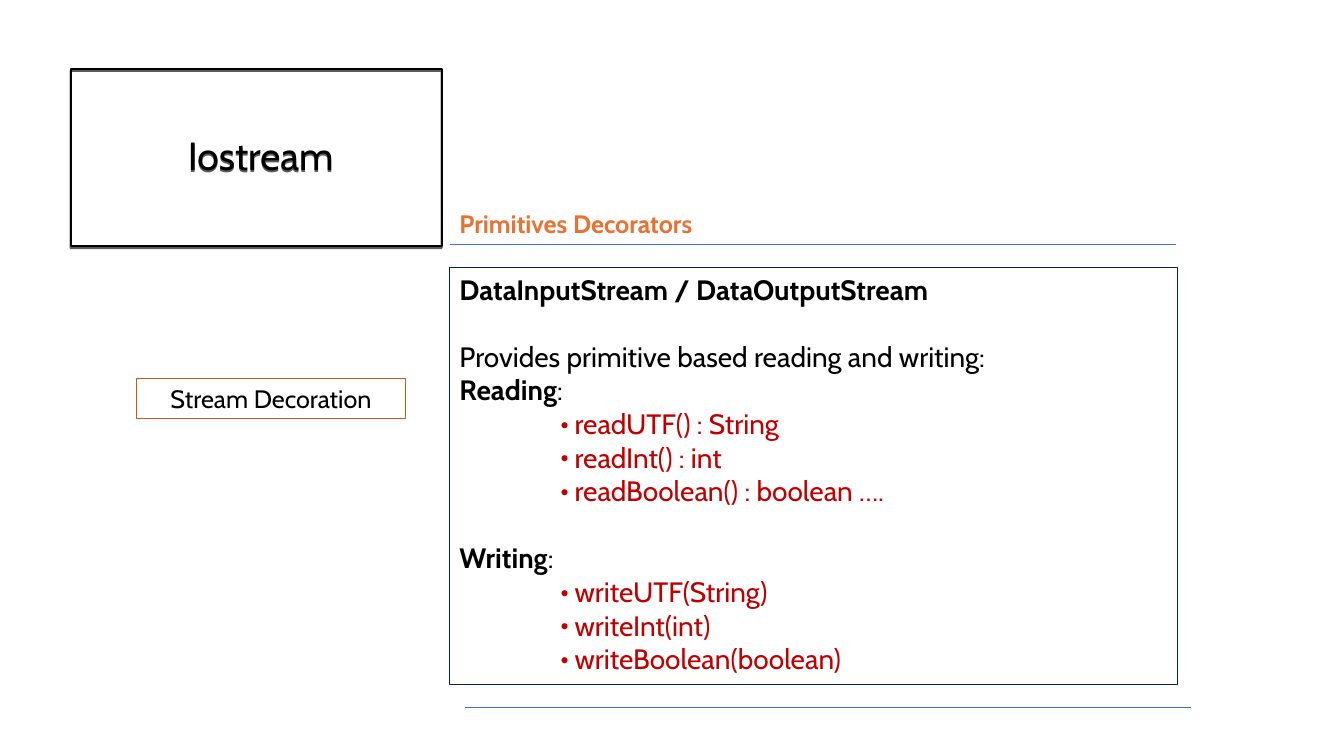
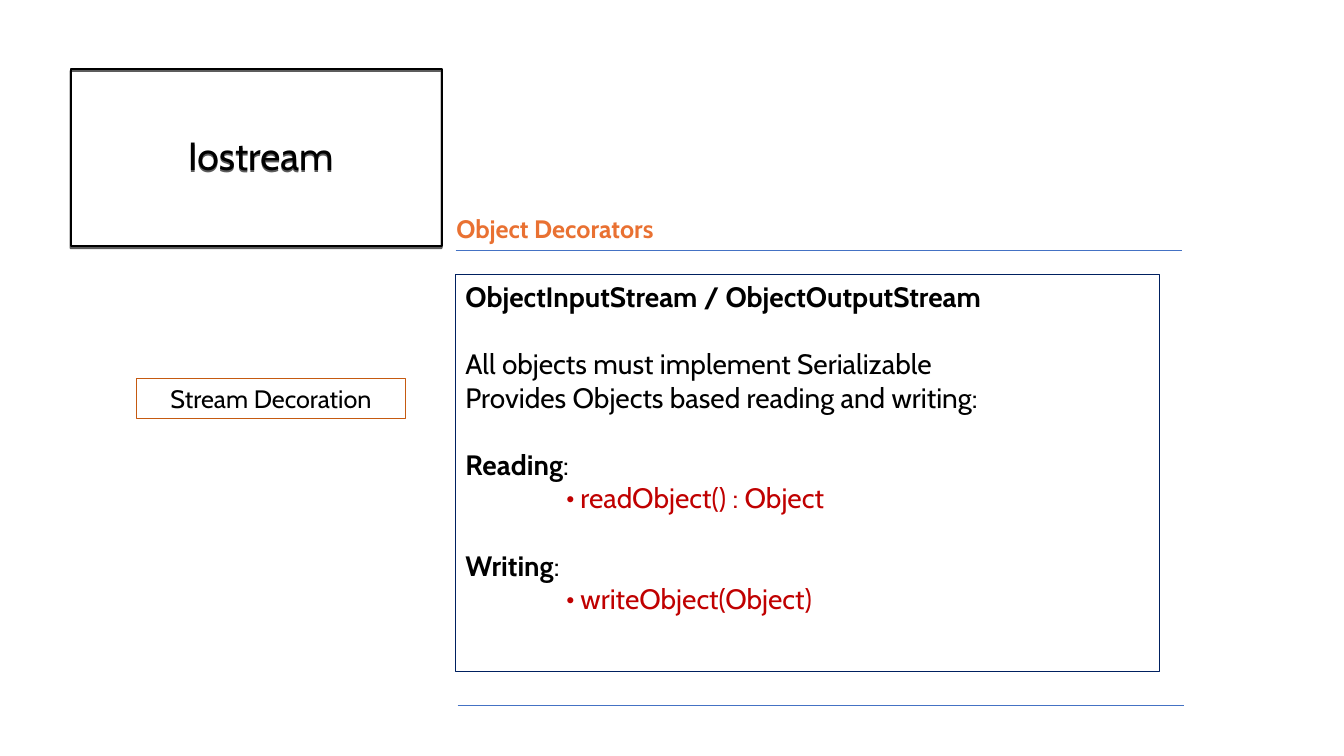
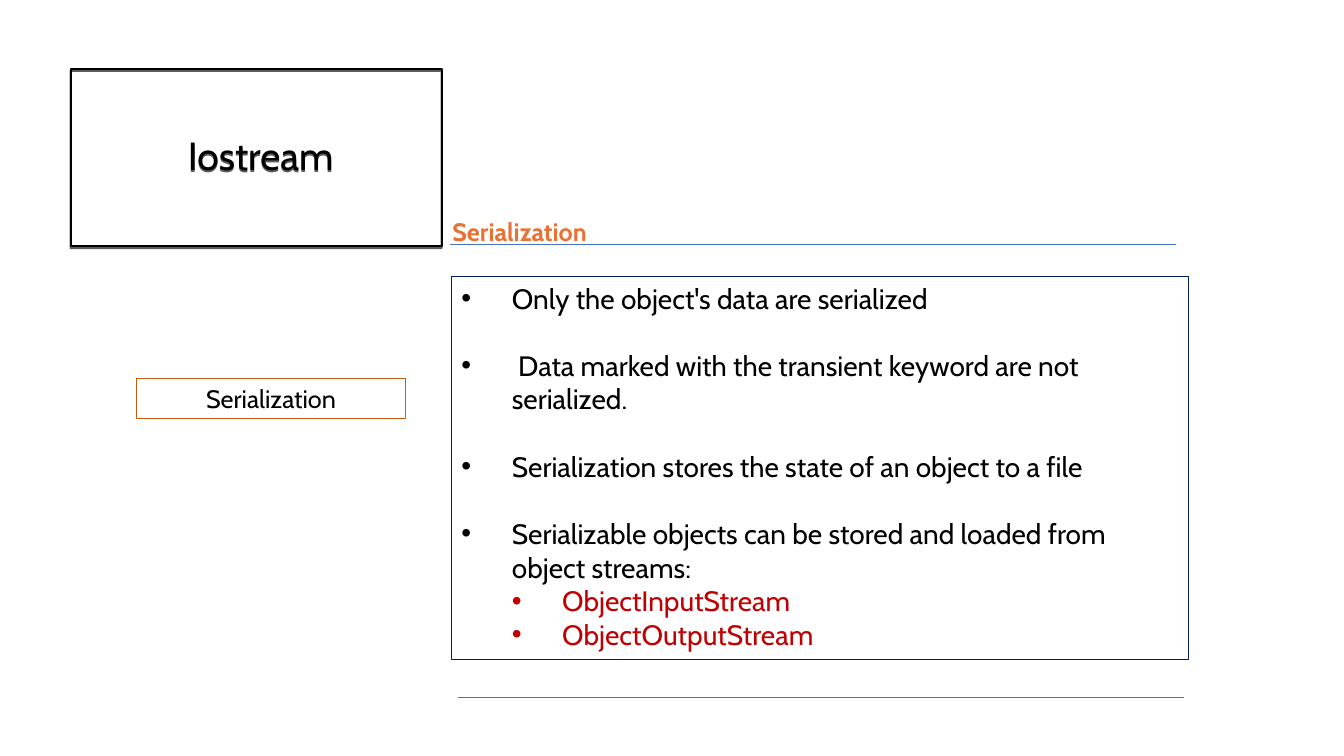
from lxml import etree
from pptx import Presentation
from pptx.dml.color import RGBColor
from pptx.enum.shapes import MSO_CONNECTOR, MSO_SHAPE
from pptx.enum.text import MSO_ANCHOR, PP_ALIGN
from pptx.oxml.ns import qn
from pptx.util import Cm, Pt

RECTANGLE = MSO_SHAPE.RECTANGLE
STRAIGHT = MSO_CONNECTOR.STRAIGHT
TOP, MIDDLE = MSO_ANCHOR.TOP, MSO_ANCHOR.MIDDLE
LEFT, CENTER = PP_ALIGN.LEFT, PP_ALIGN.CENTER

COLOURS = {
    "text": "000000",
    "call": "C00000",
    "heading": "E97132",
    "label": "C55A11",
    "panel": "002060",
    "rule": "4472C4",
}
FONT = "Cabin"
BLANK_LINE = 24
RULE_LENGTH = 18.3

PARAGRAPHS = {
    "title": {"bold": True},
    "plain": {},
    "section": {"bold": True, "ending": ":"},
    "method": {"colour": "call", "indent": 2.9, "hanging": 0.36, "bullet": FONT},
    "point": {"indent": 1.27, "hanging": 1.27, "bullet": "Arial"},
    "subpoint": {"colour": "call", "indent": 2.54, "hanging": 1.27, "bullet": "Arial", "level": 1},
}

SLIDES = [
    {
        "label": "Stream Decoration",
        "heading": ("Primitives Decorators", 11.33, 5.13),
        "rules": [(11.33, 6.15), (11.71, 17.83)],
        "panel": (11.33, 6.73, 18.34, 10.52),
        "body": [
            ("title", "DataInputStream / DataOutputStream", 0),
            ("plain", "Provides primitive based reading and writing:", BLANK_LINE),
            ("section", "Reading", 0),
            ("method", "readUTF() : String", 0),
            ("method", "readInt() : int", 0),
            ("method", "readBoolean() : boolean ….", 0),
            ("section", "Writing", BLANK_LINE),
            ("method", "writeUTF(String)", 0),
            ("method", "writeInt(int)", 0),
            ("method", "writeBoolean(boolean)", 0),
        ],
    },
    {
        "label": "Stream Decoration",
        "heading": ("Object Decorators", 11.25, 5.26),
        "rules": [(11.48, 6.3), (11.53, 17.78)],
        "panel": (11.48, 6.91, 17.75, 10.01),
        "body": [
            ("title", "ObjectInputStream / ObjectOutputStream", 0),
            ("plain", "All objects must implement Serializable", BLANK_LINE),
            ("plain", "Provides Objects based reading and writing:", 0),
            ("section", "Reading", BLANK_LINE),
            ("method", "readObject() : Object", 0),
            ("section", "Writing", BLANK_LINE),
            ("method", "writeObject(Object)", 0),
        ],
    },
    {
        "label": "Serialization",
        "heading": ("Serialization", 11.15, 5.33),
        "rules": [(11.33, 6.15), (11.53, 17.58)],
        "panel": (11.38, 6.96, 18.57, 9.65),
        "body": [
            ("point", "Only the object's data are serialized", 0),
            ("point", " Data marked with the transient keyword are not serialized.", BLANK_LINE),
            ("point", "Serialization stores the state of an object to a file", BLANK_LINE),
            ("point", "Serializable objects can be stored and loaded from object streams:", BLANK_LINE),
            ("subpoint", "ObjectInputStream", 0),
            ("subpoint", "ObjectOutputStream", 0),
        ],
    },
]


def colour_of(name):
    return RGBColor.from_string(COLOURS[name])


class Lesson:
    def __init__(self):
        self.deck = Presentation()
        self.deck.slide_width = Cm(33.87)
        self.deck.slide_height = Cm(19.05)
        self.page = None

    def new_page(self):
        self.page = self.deck.slides.add_slide(self.deck.slide_layouts[6])

    def span(self, para, text, size, colour="text", bold=False):
        span = para.add_run()
        span.text = text
        span.font.name = FONT
        span.font.size = Pt(size)
        span.font.bold = bold
        span.font.color.rgb = colour_of(colour)

    def frame(self, place, colour, weight=0.75, anchor=TOP):
        box = self.page.shapes.add_shape(RECTANGLE, *map(Cm, place))
        box.shadow.inherit = False
        box.fill.background()
        box.line.color.rgb = colour_of(colour)
        box.line.width = Pt(weight)
        box.text_frame.word_wrap = True
        box.text_frame.vertical_anchor = anchor
        return box

    def title_card(self, text):
        box = self.frame((1.78, 1.73, 9.35, 4.47), "text", 1.5, MIDDLE)
        effects = box._element.spPr.find(qn("a:effectLst"))
        shadow = etree.SubElement(effects, qn("a:outerShdw"), dist="19050", dir="5400000", rotWithShape="0")
        tint = etree.SubElement(shadow, qn("a:srgbClr"), val=COLOURS["text"])
        etree.SubElement(tint, qn("a:alpha"), val="63000")
        box.text_frame.margin_left = Cm(0.48)
        para = box.text_frame.paragraphs[0]
        para.alignment = CENTER
        para.line_spacing = 0.9
        self.span(para, text, 28)

    def label(self, text):
        box = self.frame((3.45, 9.53, 6.76, 1.02), "label")
        para = box.text_frame.paragraphs[0]
        para.alignment = CENTER
        self.span(para, text, 18)

    def heading(self, text, left, top):
        box = self.page.shapes.add_textbox(Cm(left), Cm(top), Cm(8.4), Cm(1.02))
        box.text_frame.word_wrap = True
        self.span(box.text_frame.paragraphs[0], text, 18, "heading", True)

    def rule(self, left, top):
        line = self.page.shapes.add_connector(STRAIGHT, Cm(left), Cm(top), Cm(left + RULE_LENGTH), Cm(top))
        line.line.color.rgb = colour_of("rule")
        line.line.width = Pt(0.5)
        etree.SubElement(line._element.spPr, qn("a:effectLst"))

    def bullet(self, para, style):
        settings = para._p.get_or_add_pPr()
        settings.set("marL", str(Cm(style["indent"])))
        settings.set("indent", str(-Cm(style["hanging"])))
        etree.SubElement(settings, qn("a:buFont"), typeface=style["bullet"])
        etree.SubElement(settings, qn("a:buChar"), char="•")

    def panel(self, place, body):
        text_frame = self.frame(place, "panel").text_frame
        for index, (kind, text, gap) in enumerate(body):
            style = PARAGRAPHS[kind]
            para = text_frame.add_paragraph() if index else text_frame.paragraphs[0]
            if "bullet" in style:
                self.bullet(para, style)
            para.level = style.get("level", 0)
            para.alignment = LEFT
            if gap:
                para.space_before = Pt(gap)
            self.span(para, text, 20, style.get("colour", "text"), style.get("bold", False))
            if "ending" in style:
                self.span(para, style["ending"], 20)


def main():
    lesson = Lesson()
    for content in SLIDES:
        lesson.new_page()
        lesson.title_card("Iostream")
        lesson.panel(content["panel"], content["body"])
        for left, top in content["rules"]:
            lesson.rule(left, top)
        lesson.heading(*content["heading"])
        lesson.label(content["label"])
    lesson.deck.save("out.pptx")


if __name__ == "__main__":
    main()
